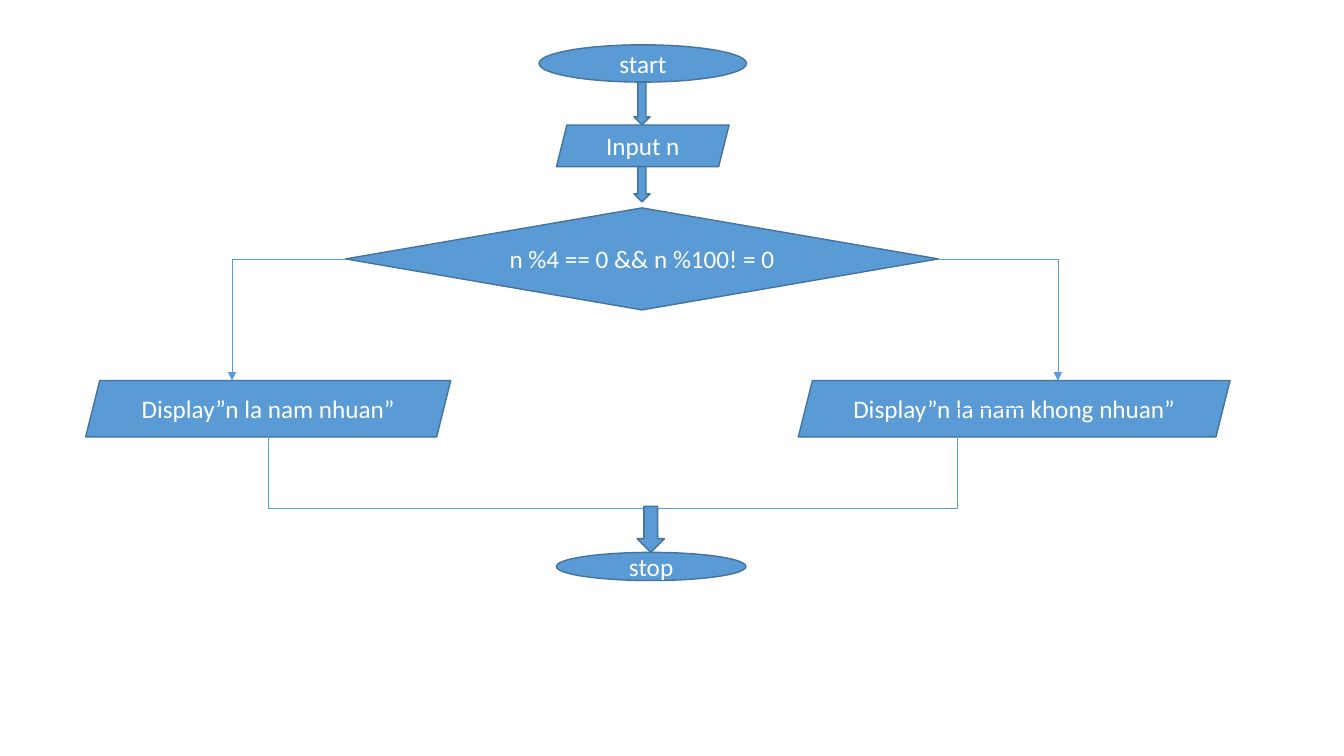
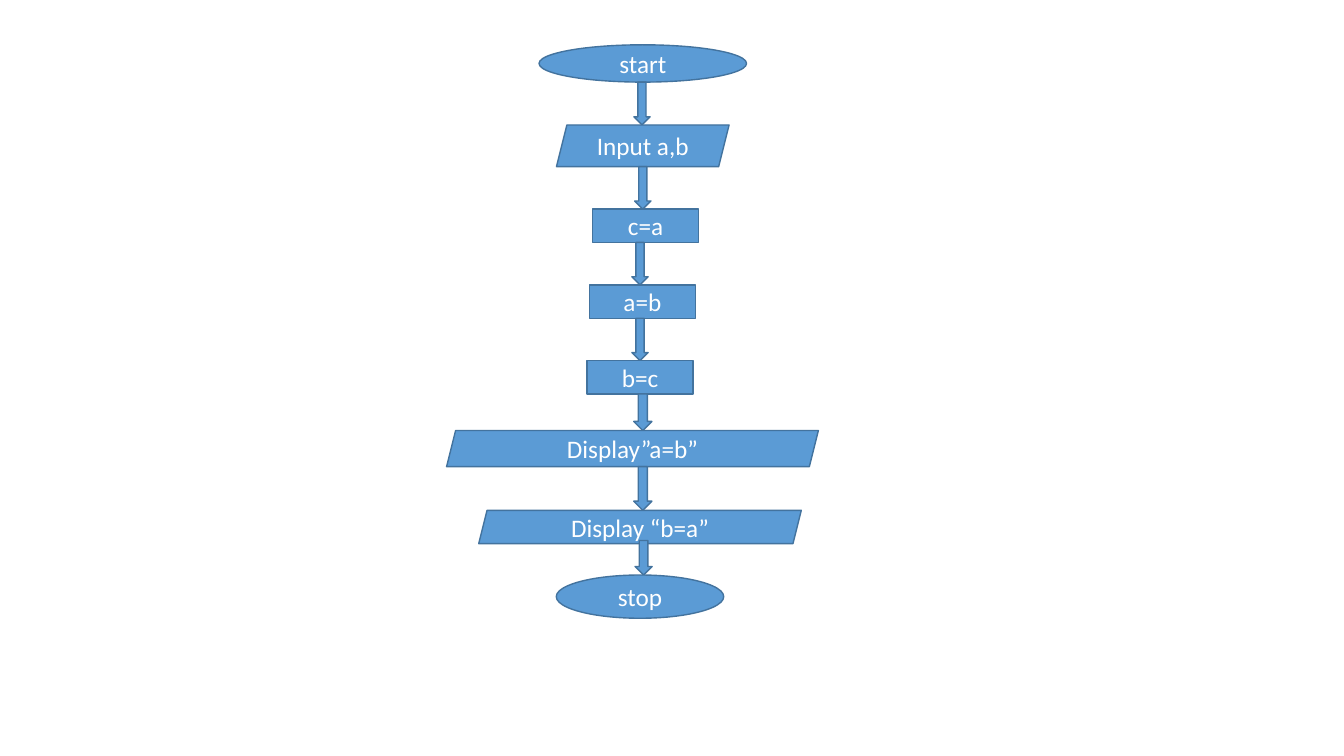
from dataclasses import dataclass

from lxml.etree import SubElement
from pptx import Presentation
from pptx.dml.color import RGBColor
from pptx.enum.shapes import MSO_CONNECTOR, MSO_SHAPE
from pptx.enum.text import MSO_ANCHOR, PP_ALIGN
from pptx.oxml.ns import qn
from pptx.util import Cm, Pt

COLORS = {"fill": "5B9BD5", "outline": "43739E", "text": "FFFFFF"}
FONT = "Calibri"
AXIS = 16.18


@dataclass
class Step:
    kind: MSO_SHAPE
    text: str
    width: float
    height: float
    shift: float = 0
    gap: float = 0
    arrow_shift: float = 0
    arrow_width: float = 0.41
    overlap: float = 0
    clearance: float = 0


def color(name):
    return RGBColor.from_string(COLORS[name])


def add_block(slide, kind, left, top, width, height, text=""):
    shape = slide.shapes.add_shape(kind, Cm(left), Cm(top), Cm(width), Cm(height))
    shape.shadow.inherit = False
    shape.fill.solid()
    shape.fill.fore_color.rgb = color("fill")
    shape.line.color.rgb = color("outline")
    shape.line.width = Pt(1)
    if text:
        frame = shape.text_frame
        frame.word_wrap = True
        frame.vertical_anchor = MSO_ANCHOR.MIDDLE
        paragraph = frame.paragraphs[0]
        paragraph.text = text
        paragraph.alignment = PP_ALIGN.CENTER
        paragraph.font.name = FONT
        paragraph.font.size = Pt(18)
        paragraph.font.color.rgb = color("text")
    return shape


def add_elbow(slide, start, end, single_bend=True, arrow=False):
    points = [Cm(value) for value in (*start, *end)]
    connector = slide.shapes.add_connector(MSO_CONNECTOR.ELBOW, *points)
    connector.line.color.rgb = color("fill")
    connector.line.width = Pt(0.5)
    properties = connector._element.spPr
    if single_bend:
        properties.find(qn("a:prstGeom")).set("prst", "bentConnector2")
    if arrow:
        SubElement(connector.line._get_or_add_ln(), qn("a:tailEnd"), type="triangle")
    SubElement(properties, qn("a:effectLst"))


def draw_column(slide, axis, top, steps):
    for step in steps:
        if step.gap:
            add_block(slide, MSO_SHAPE.DOWN_ARROW,
                      axis + step.arrow_shift - step.arrow_width / 2, top - step.overlap,
                      step.arrow_width, step.gap + step.overlap - step.clearance)
        top += step.gap
        add_block(slide, step.kind, axis + step.shift - step.width / 2, top,
                  step.width, step.height, step.text)
        top += step.height


def opening_steps(input_text):
    return [
        Step(MSO_SHAPE.OVAL, "start", 5.23, 0.94, shift=0.02),
        Step(MSO_SHAPE.PARALLELOGRAM, input_text, 4.35, 1.05, shift=0.02, gap=1.08),
    ]


def draw_branches(slide, axis, top):
    condition_half, middle = 7.47, top + 1.29
    display_top, display_height = top + 4.35, 1.42
    for target in (10.48, -10.33):
        side = 1 if target > 0 else -1
        add_elbow(slide, (axis + side * condition_half, middle),
                  (axis + target, display_top), arrow=True)
    for text, left, width in (("Display”n la nam nhuan”", -14.02, 9.2),
                              ("Display”n la nam khong nhuan”", 3.94, 10.88)):
        add_block(slide, MSO_SHAPE.PARALLELOGRAM, axis + left, display_top,
                  width, display_height, text)
    display_middle, join = display_top + display_height / 2, top + 7.57
    add_elbow(slide, (axis + 6.73, join), (axis - 9.42, display_middle))
    add_elbow(slide, (axis + 9.83, display_middle), (axis + 6.07, join), single_bend=False)


def draw_leap_year(slide, axis, top):
    draw_column(slide, axis, top, [
        *opening_steps("Input n"),
        Step(MSO_SHAPE.DIAMOND, "n %4 == 0 && n %100! = 0", 14.94, 2.57,
             gap=1.04, clearance=0.15),
    ])
    draw_branches(slide, axis, top + 4.11)
    draw_column(slide, axis, top + 11.63, [
        Step(MSO_SHAPE.OVAL, "stop", 4.78, 0.71, shift=0.23, gap=1.16,
             arrow_shift=0.22, arrow_width=0.69),
    ])


def draw_swap(slide, axis, top):
    assignments = [
        Step(MSO_SHAPE.RECTANGLE, text, 2.67, 0.84, shift=shift, gap=1.07,
             arrow_shift=arrow_shift)
        for text, shift, arrow_shift in (("c=a", 0.09, 0.02), ("a=b", 0.01, -0.05),
                                         ("b=c", -0.05, -0.05))
    ]
    draw_column(slide, axis, top, [
        *opening_steps("Input a,b"),
        *assignments,
        Step(MSO_SHAPE.PARALLELOGRAM, "Display”a=b”", 9.37, 0.91, shift=-0.24,
             gap=0.92, arrow_shift=0.02, arrow_width=0.46),
        Step(MSO_SHAPE.PARALLELOGRAM, "Display “b=a”", 8.13, 0.84, shift=-0.05,
             gap=1.1, arrow_shift=0.02, arrow_width=0.46),
        Step(MSO_SHAPE.OVAL, "stop", 4.22, 1.09, shift=-0.05,
             gap=0.79, arrow_shift=0.04, arrow_width=0.43, overlap=0.08),
    ])


def main():
    presentation = Presentation()
    presentation.slide_width = Cm(33.87)
    presentation.slide_height = Cm(19.05)
    for draw_flow in (draw_leap_year, draw_swap):
        slide = presentation.slides.add_slide(presentation.slide_layouts[6])
        draw_flow(slide, AXIS, 1.13)
    presentation.save("out.pptx")


if __name__ == "__main__":
    main()
